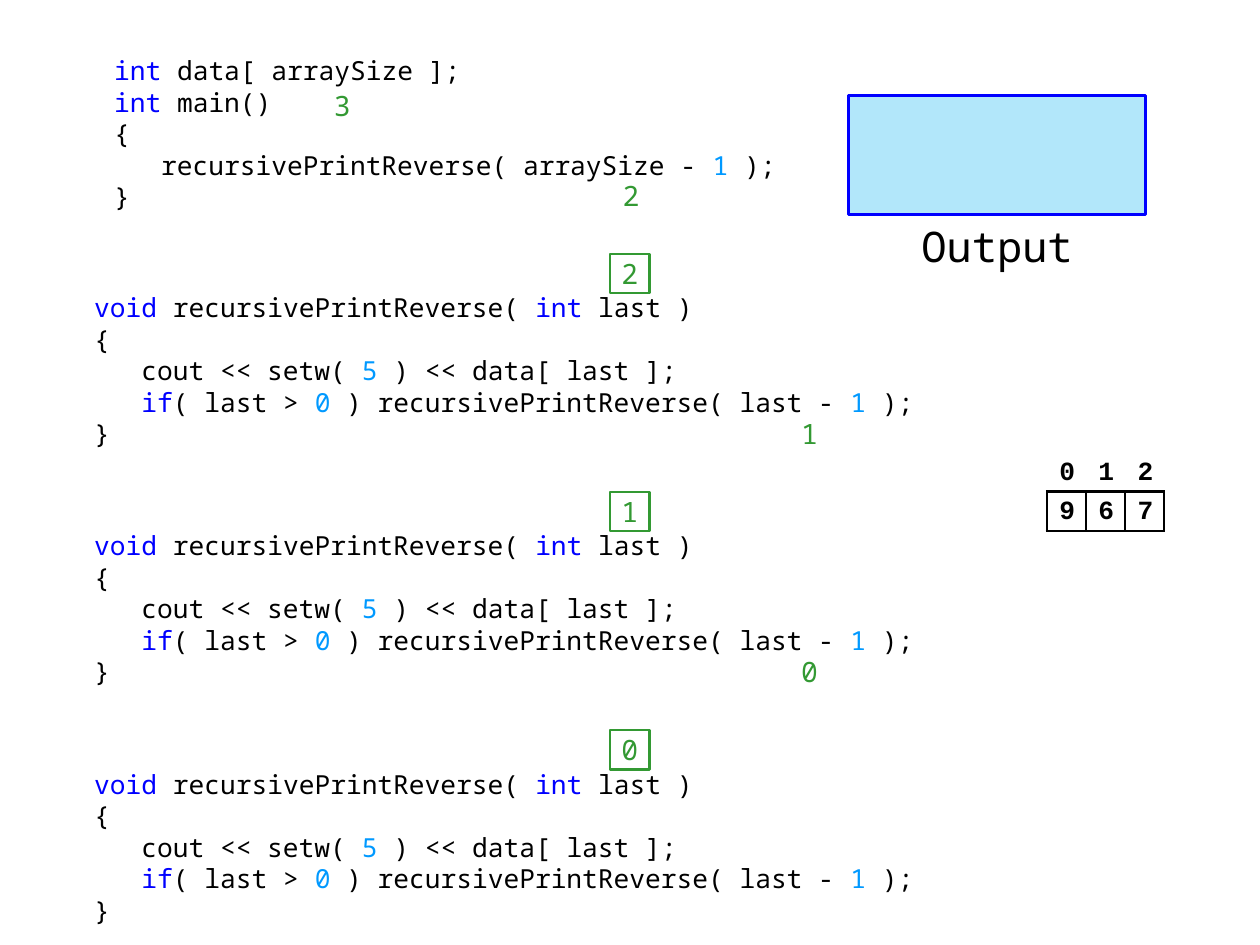
from dataclasses import dataclass

from lxml import etree
from pptx import Presentation
from pptx.dml.color import RGBColor
from pptx.enum.shapes import MSO_SHAPE
from pptx.enum.text import MSO_ANCHOR, PP_ALIGN
from pptx.oxml.ns import qn
from pptx.util import Cm, Pt

RECT = MSO_SHAPE.RECTANGLE
CENTER = PP_ALIGN.CENTER
MIDDLE = MSO_ANCHOR.MIDDLE
MONO = "Noto Sans Mono"
COURIER = "Courier New"
BLACK, BLUE, NUMBER, GREEN, CYAN = "000000", "0000FF", "0099FF", "339933", "00B0F0"
CELL = 0.79
CALL_PITCH = 4.8
Line = list[tuple[str, str]]


@dataclass
class Call:
    argument: str
    boxed: bool


MAIN_CODE: list[Line] = [
    [("int", BLUE), (" data[ arraySize ];", BLACK)],
    [("int", BLUE), (" main()", BLACK)],
    [("{", BLACK)],
    [("   recursivePrintReverse( arraySize - ", BLACK), ("1", NUMBER), (" );", BLACK)],
    [("}", BLACK)],
]
FUNCTION_CODE: list[Line] = [
    [("void ", BLUE), ("recursivePrintReverse( ", BLACK), ("int", BLUE), (" last )", BLACK)],
    [("{", BLACK)],
    [("   cout << setw( ", BLACK), ("5", NUMBER), (" ) << data[ last ];", BLACK)],
    [("   ", BLACK), ("if", BLUE), ("( last > ", BLACK), ("0", NUMBER),
     (" ) recursivePrintReverse( last - ", BLACK), ("1", NUMBER), (" );", BLACK)],
    [("}", BLACK)],
]
ARGUMENTS = ["2", "1", "0"]
ARRAY = [["0", "1", "2"], ["9", "6", "7"]]


def rgb(value: str) -> RGBColor:
    return RGBColor.from_string(value)


def set_font(font, name: str, size: float, color: str) -> None:
    font.name = name
    font.size = Pt(size)
    font.color.rgb = rgb(color)


def add_code(s, lines: list[Line], left: float, top: float, width: float) -> None:
    tf = s.shapes.add_textbox(Cm(left), Cm(top), Cm(width), Cm(3.6)).text_frame
    tf.word_wrap = True
    tf.margin_left, tf.margin_top = Cm(0.4), Cm(0.36)
    tf.margin_right, tf.margin_bottom = Cm(0.1), Cm(0.25)
    for i, line in enumerate(lines):
        p = tf.paragraphs[0] if i == 0 else tf.add_paragraph()
        p.line_spacing = Pt(18)
        p.font.name = MONO
        p.font.size = Pt(15)
        for text, color in line:
            r = p.add_run()
            r.text = text
            set_font(r.font, MONO, 15, color)


def add_value(s, text: str, left: float, top: float, size: float = CELL,
              boxed: bool = False) -> None:
    at = Cm(left), Cm(top), Cm(size), Cm(size)
    if boxed:
        sp = s.shapes.add_shape(RECT, *at)
        sp.shadow.inherit = False
        sp.fill.background()
        sp.line.color.rgb = rgb(GREEN)
        sp.line.width = Pt(1.5)
    else:
        sp = s.shapes.add_textbox(*at)
    tf = sp.text_frame
    tf.word_wrap = False
    tf.vertical_anchor = MIDDLE
    tf.margin_top = tf.margin_bottom = 0
    p = tf.paragraphs[0]
    p.text = text
    p.alignment = CENTER
    set_font(p.font, MONO, 16, GREEN)


def add_output(s) -> None:
    sp = s.shapes.add_shape(RECT, Cm(17.1), Cm(1.92), Cm(6), Cm(2.4))
    sp.shadow.inherit = False
    sp.fill.solid()
    sp.fill.fore_color.rgb = rgb(CYAN)
    color = sp.fill._xPr.find(qn("a:solidFill"))[0]
    etree.SubElement(color, qn("a:alpha"), val="30000")
    sp.line.color.rgb = rgb(BLUE)
    sp.line.width = Pt(1.5)

    tf = s.shapes.add_textbox(Cm(17.9), Cm(4.32), Cm(4.4), Cm(1.2)).text_frame
    tf.word_wrap = True
    p = tf.paragraphs[0]
    p.text = "Output"
    p.alignment = CENTER
    set_font(p.font, MONO, 24, BLACK)


def add_border(cell, sides: str) -> None:
    tc_pr = cell._tc.get_or_add_tcPr()
    for side in sides:
        ln = etree.SubElement(tc_pr, qn(f"a:ln{side}"), w=str(Pt(1.5)))
        fill = etree.SubElement(ln, qn("a:solidFill"))
        etree.SubElement(fill, qn("a:srgbClr"), val=BLACK)


def add_array(s, left: float, top: float) -> None:
    rows, cols = len(ARRAY), len(ARRAY[0])
    table = s.shapes.add_table(rows, cols, Cm(left), Cm(top),
                               Cm(cols * CELL), Cm(rows * CELL)).table
    table.first_row = table.horz_banding = False
    for i, values in enumerate(ARRAY):
        for j, value in enumerate(values):
            cell = table.cell(i, j)
            add_border(cell, "LRTB" if i else "B")
            cell.fill.background()
            cell.vertical_anchor = MIDDLE
            cell.margin_top, cell.margin_bottom = Cm(0.05), 0
            p = cell.text_frame.paragraphs[0]
            p.text = value
            p.alignment = CENTER
            p.font.bold = True
            set_font(p.font, COURIER, 15, BLACK)


def main() -> None:
    prs = Presentation()
    prs.slide_width, prs.slide_height = Cm(25.4), Cm(19.05)
    s = prs.slides.add_slide(prs.slide_layouts[6])
    add_code(s, MAIN_CODE, 1.9, 0.74, 14.1)
    add_value(s, "3", 6.3, 1.52, 1.2)
    for i, argument in enumerate(ARGUMENTS):
        offset = i * CALL_PITCH
        add_code(s, FUNCTION_CODE, 1.5, 5.52 + offset, 17.2)
        add_value(s, argument, 15.9 if i else 12.3, 3.54 + offset)
        add_value(s, argument, 12.3, 5.12 + offset, boxed=True)
    add_output(s)
    add_array(s, 21.1, 9.12)
    prs.save("out.pptx")


if __name__ == "__main__":
    main()
